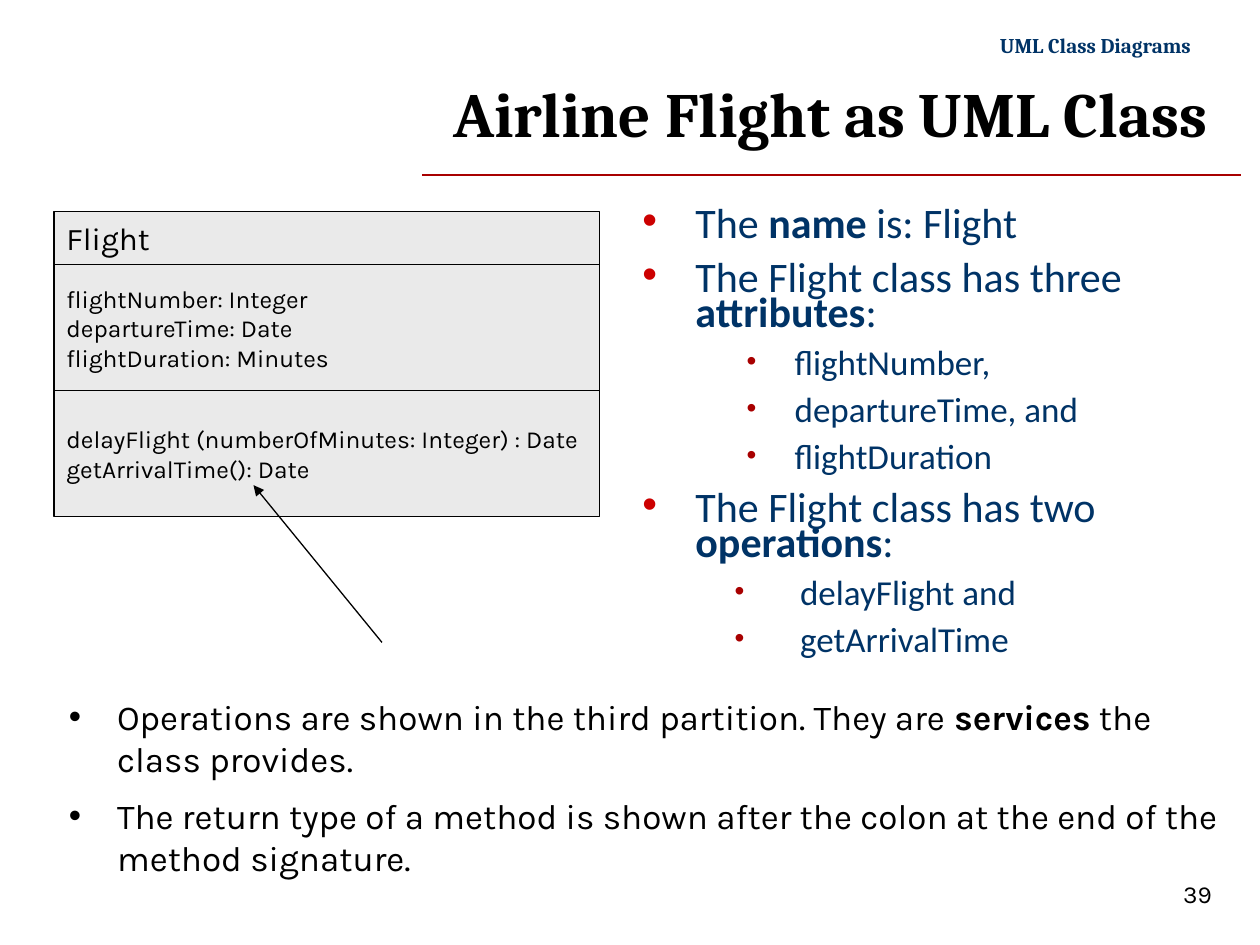
from lxml.etree import SubElement
from pptx import Presentation
from pptx.dml.color import RGBColor
from pptx.enum.shapes import MSO_CONNECTOR, MSO_SHAPE
from pptx.enum.text import MSO_ANCHOR, MSO_AUTO_SIZE, PP_ALIGN
from pptx.oxml.ns import qn
from pptx.util import Cm, Pt

BLACK = RGBColor(0x00, 0x00, 0x00)
NAVY = RGBColor(0x00, 0x33, 0x66)
RED = RGBColor(0xCC, 0x00, 0x00)
DARK_RED = RGBColor(0xA8, 0x00, 0x00)
GREY = RGBColor(0xEA, 0xEA, 0xEA)


class SlideBuilder:
    """Holds the slide and its style; lengths are in centimetres."""

    heading_font = "Cambria"
    list_font = "Calibri"
    text_font = "Karla"
    line_width = Pt(0.75)

    def __init__(self, slide):
        self.slide = slide

    def add_runs(self, paragraph, text, font, size, color=BLACK, bold=False):
        """Add text run by run; parts between asterisks are bold."""
        for index, part in enumerate(text.split("*")):
            run = paragraph.add_run()
            run.text = part
            run.font.name = font
            run.font.size = Pt(size)
            run.font.bold = bold or index % 2 == 1
            run.font.color.rgb = color

    def title(self, text, left, top, width, height):
        title = self.slide.shapes.title
        title.left, title.top = Cm(left), Cm(top)
        title.width, title.height = Cm(width), Cm(height)
        frame = title.text_frame
        frame.auto_size = MSO_AUTO_SIZE.NONE
        frame.vertical_anchor = MSO_ANCHOR.MIDDLE
        paragraph = frame.paragraphs[0]
        paragraph.alignment = PP_ALIGN.RIGHT
        self.add_runs(paragraph, text, self.heading_font, 36, bold=True)

    def text_box(self, left, top, width, height, wrap=True):
        box = self.slide.shapes.add_textbox(Cm(left), Cm(top), Cm(width), Cm(height))
        box.text_frame.word_wrap = wrap
        return box.text_frame

    def bullet(self, paragraph, margin, indent, color=BLACK, percent=100):
        properties = paragraph._p.get_or_add_pPr()
        properties.set("marL", str(Cm(margin)))
        properties.set("indent", str(-Cm(indent)))
        bullet_color = SubElement(properties, qn("a:buClr"))
        SubElement(bullet_color, qn("a:srgbClr"), val=str(color))
        SubElement(properties, qn("a:buSzPct"), val=str(percent * 1000))
        SubElement(properties, qn("a:buFont"), typeface="Arial")
        SubElement(properties, qn("a:buChar"), char="•")

    def bullet_list(self, items, left, top, width, height):
        """Each item is its text and, for a sub-item, its margin and indent."""
        frame = self.text_box(left, top, width, height)
        for index, (text, sub_indent) in enumerate(items):
            paragraph = frame.add_paragraph() if index else frame.paragraphs[0]
            size = 20 if sub_indent else 24
            if sub_indent:
                paragraph.level = 1
                self.bullet(paragraph, *sub_indent, DARK_RED, 80)
            else:
                self.bullet(paragraph, 1.07, 1.07, RED)
            paragraph.line_spacing = 0.7
            paragraph.space_before = Pt(size * 0.2 if index else 0)
            paragraph.space_after = Pt(6)
            self.add_runs(paragraph, text, self.list_font, size, NAVY)

    def note(self, text, left, top, width, height):
        paragraph = self.text_box(left, top, width, height).paragraphs[0]
        self.bullet(paragraph, 0.97, 0.97)
        self.add_runs(paragraph, text, self.text_font, 20)

    def compartment(self, lines, size, left, top, width, height):
        shape = self.slide.shapes.add_shape(
            MSO_SHAPE.RECTANGLE, Cm(left), Cm(top), Cm(width), Cm(height))
        shape.shadow.inherit = False
        shape.fill.solid()
        shape.fill.fore_color.rgb = GREY
        shape.line.color.rgb = BLACK
        shape.line.width = self.line_width
        frame = shape.text_frame
        frame.word_wrap = False
        frame.vertical_anchor = MSO_ANCHOR.MIDDLE
        for index, line in enumerate(lines):
            paragraph = frame.add_paragraph() if index else frame.paragraphs[0]
            paragraph.alignment = PP_ALIGN.LEFT
            self.add_runs(paragraph, line, self.text_font, size)

    def line(self, start, end, color, arrow=False):
        connector = self.slide.shapes.add_connector(
            MSO_CONNECTOR.STRAIGHT, *map(Cm, start + end))
        connector.line.color.rgb = color
        connector.line.width = self.line_width
        if arrow:
            outline = connector._element.spPr.find(qn("a:ln"))
            SubElement(outline, qn("a:tailEnd"), type="triangle")
        SubElement(connector._element.spPr, qn("a:effectLst"))


def main():
    presentation = Presentation()
    presentation.slide_width, presentation.slide_height = Cm(25.4), Cm(19.05)
    builder = SlideBuilder(presentation.slides.add_slide(presentation.slide_layouts[5]))

    # Running header, title with rule, page number
    builder.line((8.51, 3.53), (25.02, 3.53), DARK_RED)
    header = builder.text_box(19.81, 0.53, 4.45, 0.76, wrap=False).paragraphs[0]
    header.alignment = PP_ALIGN.RIGHT
    builder.add_runs(header, "UML Class Diagrams", builder.heading_font, 12, NAVY, True)
    builder.title("Airline Flight as UML Class", 5.11, 1.32, 19.48, 1.9)
    page_number = builder.text_box(23.6, 17.6, 1.8, 0.86).paragraphs[0]
    builder.add_runs(page_number, "39", builder.text_font, 14)

    # Explanation of the class
    attribute, operation = (3.07, 0.97), (3.18, 1.32)
    builder.bullet_list([
        ("The *name* is: Flight", None),
        ("The Flight class has three *attributes*:", None),
        ("flightNumber,", attribute),
        ("departureTime, and", attribute),
        ("flightDuration", attribute),
        ("The Flight class has two *operations*:", None),
        ("delayFlight and", operation),
        ("getArrivalTime", operation),
    ], 12.7, 4.11, 12.57, 10.29)

    # UML class: name, attributes and operations stacked
    top = 4.27
    for lines, size, height in [
        (["Flight"], 18, 1.07),
        (["flightNumber: Integer", "departureTime: Date",
          "flightDuration: Minutes"], 14, 2.54),
        (["delayFlight (numberOfMinutes: Integer) : Date",
          "getArrivalTime(): Date"], 14, 2.54),
    ]:
        builder.compartment(lines, size, 1.09, top, 11, height)
        top += height

    # Notes, and the arrow to the return type
    builder.note("Operations are shown in the third partition. "
                 "They are *services* the class provides.", 1.14, 13.89, 23.47, 1.96)
    builder.note("The return type of a method is shown after the colon "
                 "at the end of the method signature.", 1.14, 15.9, 23.72, 1.96)
    builder.line((7.7, 12.95), (5.11, 9.78), BLACK, arrow=True)

    presentation.save("out.pptx")


if __name__ == "__main__":
    main()
